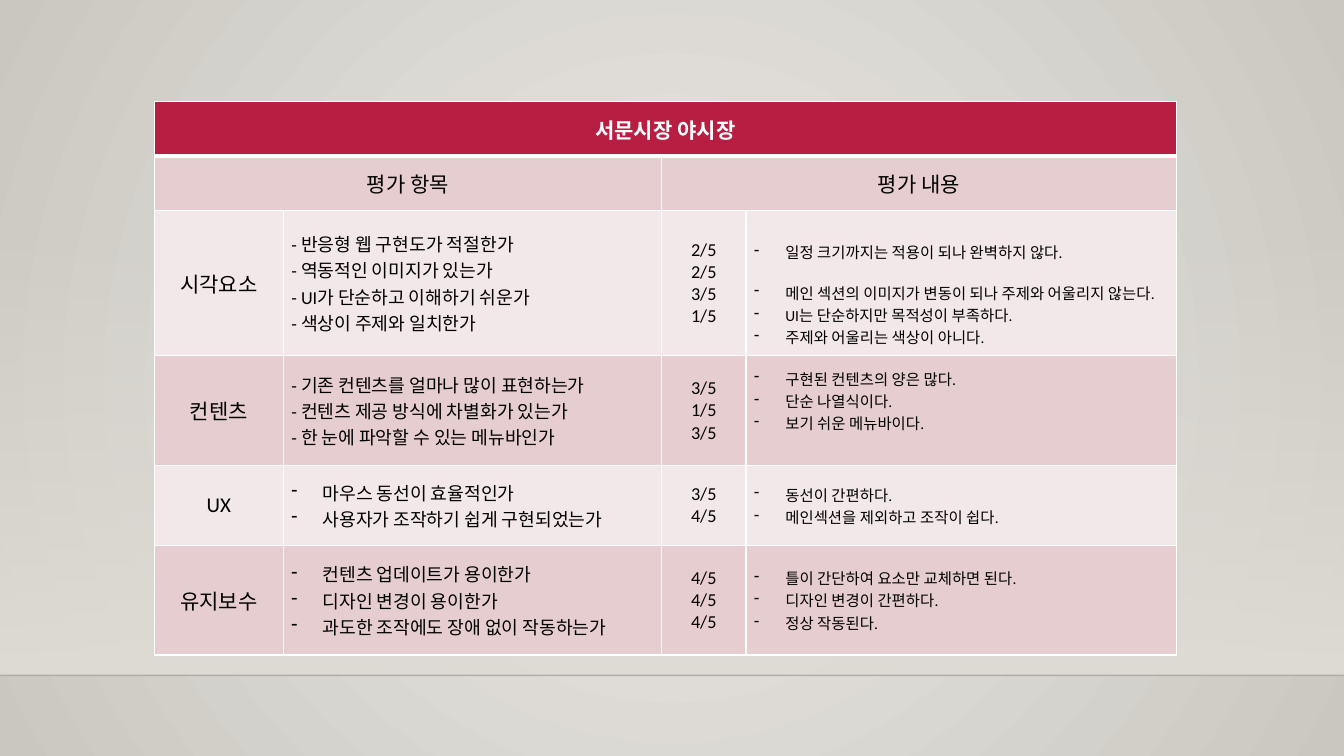
from dataclasses import dataclass

from lxml import etree
from pptx import Presentation, util as u
from pptx.dml.color import RGBColor
from pptx.enum import shapes, text
from pptx.oxml import ns

COLORS = {
    "glow": "ECEAE7", "edge": "CAC7C1", "wall": "DFDBD5", "floor": "000001",
    "header": "B71E42", "dark": "E6CDCF", "light": "F3E8E9",
    "white": "FFFFFF", "black": "000000",
}
FONT = "Calibri"
GRID_COLUMNS, GRID_ROWS = 1333, 750
SLIDE_WIDTH, SLIDE_HEIGHT = u.Inches(13.33), u.Inches(7.5)
TABLE_LEFT, TABLE_TOP = 153, 101
TABLE_COLUMNS = (128, 375, 84, 427)
TABLE_ROWS = (54, 54, 144, 109, 79, 109)
WALL_TOP, FLOOR_ROW = 221, 670
HANGING = 31
LABEL_SIZE, BODY_SIZE, NOTE_SIZE = 15, 13, 11


@dataclass(frozen=True)
class Line:
    words: str
    size: int
    color: str = "black"
    bold: bool = False
    centered: bool = False
    bullet: bool = False
    before: int = 0


@dataclass(frozen=True)
class Category:
    label: str
    criteria: tuple[str, ...]
    scores: tuple[str, ...]
    notes: tuple[str, ...]
    bulleted: bool = True
    gap_after_first: int = 0
    extra_top: int = 0
    extra_bottom: int = 0


CATEGORIES = (
    Category(
        "시각요소",
        ("- 반응형 웹 구현도가 적절한가", "- 역동적인 이미지가 있는가",
         "- UI가 단순하고 이해하기 쉬운가", "- 색상이 주제와 일치한가"),
        ("2/5", "2/5", "3/5", "1/5"),
        ("일정 크기까지는 적용이 되나 완벽하지 않다.",
         "메인 섹션의 이미지가 변동이 되나 주제와 어울리지 않는다.",
         "UI는 단순하지만 목적성이 부족하다.", "주제와 어울리는 색상이 아니다."),
        bulleted=False, gap_after_first=13, extra_top=22),
    Category(
        "컨텐츠",
        ("- 기존 컨텐츠를 얼마나 많이 표현하는가",
         "- 컨텐츠 제공 방식에 차별화가 있는가",
         "- 한 눈에 파악할 수 있는 메뉴바인가"),
        ("3/5", "1/5", "3/5"),
        ("구현된 컨텐츠의 양은 많다.", "단순 나열식이다.", "보기 쉬운 메뉴바이다."),
        bulleted=False, extra_bottom=20),
    Category(
        "UX",
        ("마우스 동선이 효율적인가", "사용자가 조작하기 쉽게 구현되었는가"),
        ("3/5", "4/5"),
        ("동선이 간편하다.", "메인섹션을 제외하고 조작이 쉽다.")),
    Category(
        "유지보수",
        ("컨텐츠 업데이트가 용이한가", "디자인 변경이 용이한가",
         "과도한 조작에도 장애 없이 작동하는가"),
        ("4/5", "4/5", "4/5"),
        ("틀이 간단하여 요소만 교체하면 된다.", "디자인 변경이 간편하다.", "정상 작동된다.")),
)


def across(columns: float) -> u.Emu:
    return u.Emu(round(SLIDE_WIDTH * columns / GRID_COLUMNS))


def down(rows: float) -> u.Emu:
    return u.Emu(round(SLIDE_HEIGHT * rows / GRID_ROWS))


def color(name: str) -> RGBColor:
    return RGBColor.from_string(COLORS[name])


def add_child(parent, tag: str, **attributes: str):
    return etree.SubElement(parent, ns.qn(tag), attributes)


def set_gradient(fill, first: str, last: str) -> None:
    fill.gradient()
    fill.gradient_angle = 270
    for stop, name, position in zip(fill.gradient_stops, (first, last), (0, 1)):
        stop.color.rgb = color(name)
        stop.position = position


def draw_background(page) -> None:
    set_gradient(page.background.fill, "glow", "edge")
    gradient = page.element.find(".//" + ns.qn("a:gradFill"))
    gradient.remove(gradient.find(ns.qn("a:lin")))
    circle = add_child(gradient, "a:path", path="circle")
    add_child(circle, "a:fillToRect", l="50000", t="50000", r="50000", b="50000")


def draw_room(page) -> None:
    wall = page.shapes.add_shape(
        shapes.MSO_SHAPE.RECTANGLE, 0, down(WALL_TOP),
        SLIDE_WIDTH, down(FLOOR_ROW - WALL_TOP))
    wall.shadow.inherit = False
    wall.line.fill.background()
    set_gradient(wall.fill, "wall", "wall")
    first_color = wall.element.find(".//" + ns.qn("a:srgbClr"))
    add_child(first_color, "a:alpha", val="0")

    floor = page.shapes.add_connector(
        shapes.MSO_CONNECTOR.STRAIGHT, 0, down(FLOOR_ROW),
        SLIDE_WIDTH, down(FLOOR_ROW))
    floor.line.width = u.Pt(1)
    floor.line.color.rgb = color("floor")
    add_child(floor.element.find(".//" + ns.qn("a:srgbClr")), "a:alpha", val="20000")
    add_child(floor.element.spPr, "a:effectLst")


def style_cell(cell, fill: str, bottom: int = 1) -> None:
    cell.fill.solid()
    cell.fill.fore_color.rgb = color(fill)
    cell.vertical_anchor = text.MSO_ANCHOR.MIDDLE
    cell.margin_left = cell.margin_right = across(8)
    cell.margin_top = cell.margin_bottom = down(4)
    properties = cell._tc.get_or_add_tcPr()
    for index, side in enumerate("LRTB"):
        width = bottom if side == "B" else 1
        border = etree.Element(ns.qn(f"a:ln{side}"), w=str(u.Pt(width)))
        add_child(add_child(border, "a:solidFill"), "a:srgbClr", val=COLORS["white"])
        properties.insert(index, border)


def write(cell, lines: list[Line]) -> None:
    frame = cell.text_frame
    for index, line in enumerate(lines):
        para = frame.add_paragraph() if index else frame.paragraphs[0]
        if line.centered:
            para.alignment = text.PP_ALIGN.CENTER
        if line.before:
            para.space_before = u.Pt(line.before)
        if line.bullet:
            properties = para._p.get_or_add_pPr()
            properties.set("marL", str(across(HANGING)))
            properties.set("indent", str(-across(HANGING)))
            add_child(properties, "a:buChar", char="-")
        span = para.add_run()
        span.text = line.words
        span.font.name = FONT
        span.font.size = u.Pt(line.size)
        span.font.bold = line.bold
        span.font.color.rgb = color(line.color)


def fill_category(table, row: int, category: Category) -> None:
    label, criteria, scores, notes = (
        table.cell(row, column) for column in range(len(TABLE_COLUMNS)))
    write(label, [Line(category.label, LABEL_SIZE, centered=True)])
    write(criteria, [Line(words, BODY_SIZE, bullet=category.bulleted)
                     for words in category.criteria])
    write(scores, [Line(words, BODY_SIZE, centered=True) for words in category.scores])
    write(notes, [Line(words, NOTE_SIZE, bullet=True,
                       before=category.gap_after_first if index == 1 else 0)
                  for index, words in enumerate(category.notes)])
    notes.margin_top = down(4 + category.extra_top)
    notes.margin_bottom = down(4 + category.extra_bottom)


def draw_table(page) -> None:
    table = page.shapes.add_table(
        len(TABLE_ROWS), len(TABLE_COLUMNS), across(TABLE_LEFT), down(TABLE_TOP),
        across(sum(TABLE_COLUMNS)), down(sum(TABLE_ROWS))).table
    for column, width in zip(table.columns, TABLE_COLUMNS):
        column.width = across(width)
    for index, (row, height) in enumerate(zip(table.rows, TABLE_ROWS)):
        row.height = down(height)
        fill = "header" if index == 0 else "dark" if index % 2 else "light"
        for cell in row.cells:
            style_cell(cell, fill, bottom=1 if index else 3)

    table.cell(0, 0).merge(table.cell(0, 3))
    write(table.cell(0, 0), [Line("서문시장 야시장", LABEL_SIZE, "white", True, True)])
    for column, heading in ((0, "평가 항목"), (2, "평가 내용")):
        table.cell(1, column).merge(table.cell(1, column + 1))
        write(table.cell(1, column), [Line(heading, LABEL_SIZE, centered=True)])
    for row, category in enumerate(CATEGORIES, start=2):
        fill_category(table, row, category)


def main() -> None:
    deck = Presentation()
    deck.slide_width, deck.slide_height = SLIDE_WIDTH, SLIDE_HEIGHT
    page = deck.slides.add_slide(deck.slide_layouts.get_by_name("Blank"))
    draw_background(page)
    draw_room(page)
    draw_table(page)
    deck.save("out.pptx")


if __name__ == "__main__":
    main()
